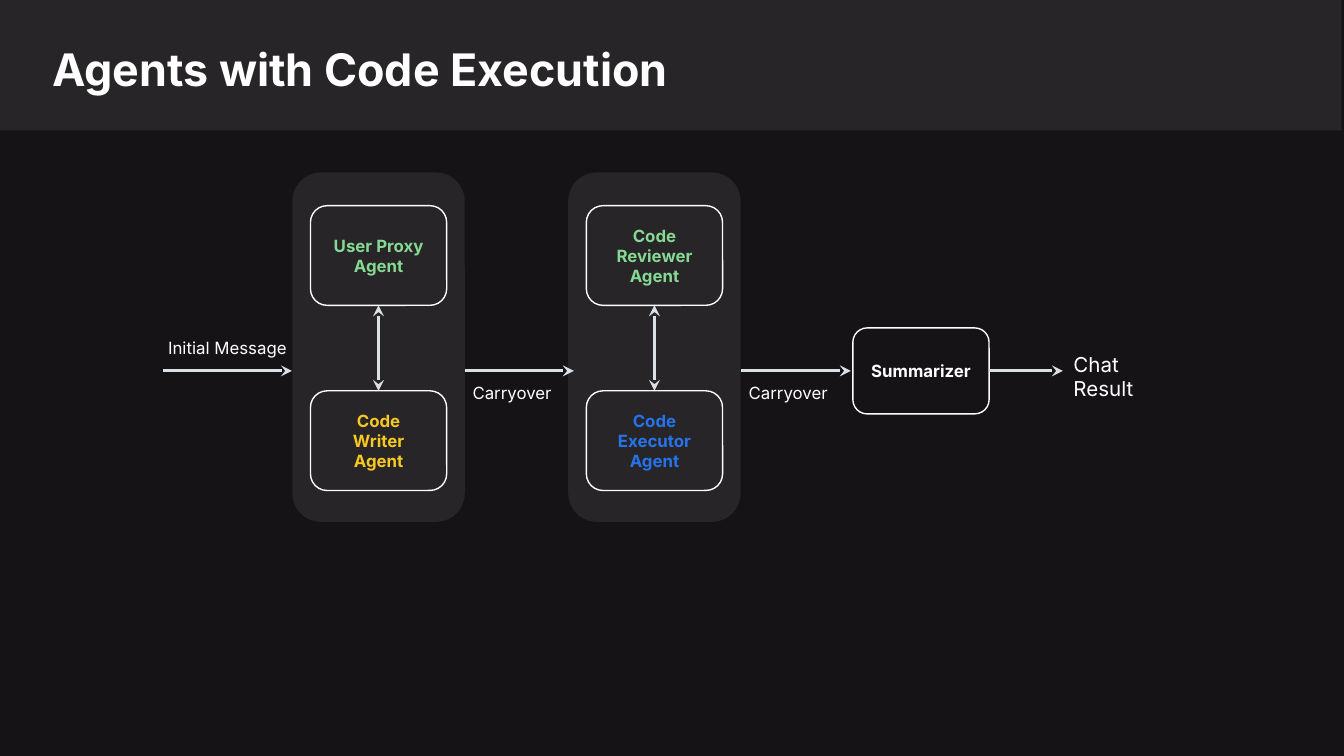
from typing import NamedTuple

from lxml import etree
from pptx import Presentation
from pptx.dml.color import RGBColor
from pptx.enum.shapes import MSO_CONNECTOR, MSO_SHAPE
from pptx.enum.text import MSO_ANCHOR, PP_ALIGN
from pptx.oxml.ns import qn
from pptx.util import Pt

RECTANGLE = MSO_SHAPE.RECTANGLE
ROUNDED = MSO_SHAPE.ROUNDED_RECTANGLE
STRAIGHT = MSO_CONNECTOR.STRAIGHT
LEFT = PP_ALIGN.LEFT
CENTER = PP_ALIGN.CENTER
MIDDLE = MSO_ANCHOR.MIDDLE

FONT = "Inter"
BACKGROUND = "151316"
PANEL = "272528"
WHITE = "FFFFFF"
ARROW = "DAE0E6"
GREEN = "85D992"
YELLOW = "F9C823"
BLUE = "2674ED"

FLOW_Y = 198.7
PANEL_TOP, PANEL_WIDTH, PANEL_HEIGHT = 92.4, 92.4, 187.2
AGENT_WIDTH, AGENT_HEIGHT = 73, 53.4
AGENT_TOPS = (110.2, 209.4)
LABEL_WIDTH, LABEL_HEIGHT = 92, 32


class Agent(NamedTuple):
    text: str
    color: str


class Chat(NamedTuple):
    center: float
    agents: tuple[Agent, Agent]


class Step(NamedTuple):
    start: float
    end: float


class Label(NamedTuple):
    text: str
    center_x: float
    center_y: float


CHATS = (
    Chat(202.8, (Agent("User Proxy Agent", GREEN), Agent("Code\nWriter Agent", YELLOW))),
    Chat(350.6, (Agent("Code Reviewer\nAgent", GREEN), Agent("Code Executor\nAgent", BLUE))),
)
STEPS = (Step(87.5, 156.4), Step(249.1, 307.4), Step(397.1, 455.8), Step(530, 569.4))
LABELS = (
    Label("Initial Message", 121.8, 186.5),
    Label("Carryover", 274.3, 210.6),
    Label("Carryover", 422.2, 210.6),
)


def rgb(hex_color: str) -> RGBColor:
    return RGBColor.from_string(hex_color)


def write(shape, text: str, *, size: float = 9, color: str = WHITE, bold: bool = False,
          align=CENTER, anchor=MIDDLE, inset: float = 7.2) -> None:
    frame = shape.text_frame
    frame.word_wrap = True
    frame.vertical_anchor = anchor
    frame.margin_left = frame.margin_right = Pt(inset)
    frame.margin_top = frame.margin_bottom = Pt(inset)
    frame.text = text
    for paragraph in frame.paragraphs:
        paragraph.alignment = align
        font = paragraph.font
        font.name, font.size, font.bold = FONT, Pt(size), bold
        font.color.rgb = rgb(color)


def add_block(slide, kind, left: float, top: float, width: float, height: float,
              fill: str | None = None, line: str | None = None):
    block = slide.shapes.add_shape(kind, Pt(left), Pt(top), Pt(width), Pt(height))
    block.shadow.inherit = False
    if fill:
        block.fill.solid()
        block.fill.fore_color.rgb = rgb(fill)
    else:
        block.fill.background()
    if line:
        block.line.color.rgb = rgb(line)
        block.line.width = Pt(0.75)
    else:
        block.line.fill.background()
    return block


def add_text(slide, text: str, left: float, top: float, width: float, height: float,
             **text_format) -> None:
    box = slide.shapes.add_textbox(Pt(left), Pt(top), Pt(width), Pt(height))
    write(box, text, **text_format)


def add_node(slide, text: str, center: float, top: float, height: float, color: str) -> None:
    node = add_block(slide, ROUNDED, center - AGENT_WIDTH / 2, top, AGENT_WIDTH, height, line=WHITE)
    write(node, text, color=color, bold=True)


def add_arrow(slide, x1: float, y1: float, x2: float, y2: float, both_ends: bool = False) -> None:
    arrow = slide.shapes.add_connector(STRAIGHT, Pt(x1), Pt(y1), Pt(x2), Pt(y2))
    arrow.line.color.rgb = rgb(ARROW)
    arrow.line.width = Pt(1.5)
    properties = arrow.line._get_or_add_ln()
    for end in ("a:headEnd", "a:tailEnd") if both_ends else ("a:tailEnd",):
        etree.SubElement(properties, qn(end), type="stealth")
    etree.SubElement(arrow._element.spPr, qn("a:effectLst"))


def add_chat(slide, chat: Chat) -> None:
    add_block(slide, ROUNDED, chat.center - PANEL_WIDTH / 2, PANEL_TOP,
              PANEL_WIDTH, PANEL_HEIGHT, fill=PANEL)
    for agent, top in zip(chat.agents, AGENT_TOPS):
        add_node(slide, agent.text, chat.center, top, AGENT_HEIGHT, agent.color)
    add_arrow(slide, chat.center, AGENT_TOPS[0] + AGENT_HEIGHT, chat.center, AGENT_TOPS[1],
              both_ends=True)


def main() -> None:
    deck = Presentation()
    deck.slide_width, deck.slide_height = Pt(720), Pt(405)
    slide = deck.slides.add_slide(deck.slide_layouts[6])
    slide.background.fill.solid()
    slide.background.fill.fore_color.rgb = rgb(BACKGROUND)

    add_block(slide, RECTANGLE, 0, -0.7, 718.6, 70.6, fill=PANEL)
    add_text(slide, "Agents with Code Execution", 20.9, 15.1, 629.3, 41.8,
             size=24, bold=True, align=LEFT, anchor=MSO_ANCHOR.TOP)

    for chat in CHATS:
        add_chat(slide, chat)
    add_node(slide, "Summarizer", 493.4, 175.7, 46.1, WHITE)
    for step in STEPS:
        add_arrow(slide, step.start, FLOW_Y, step.end, FLOW_Y)
    for label in LABELS:
        add_text(slide, label.text, label.center_x - LABEL_WIDTH / 2,
                 label.center_y - LABEL_HEIGHT / 2, LABEL_WIDTH, LABEL_HEIGHT)
    add_text(slide, "Chat\nResult", 575, 180, 60, 43.2, size=11, align=LEFT, inset=0)

    deck.save("out.pptx")


if __name__ == "__main__":
    main()
